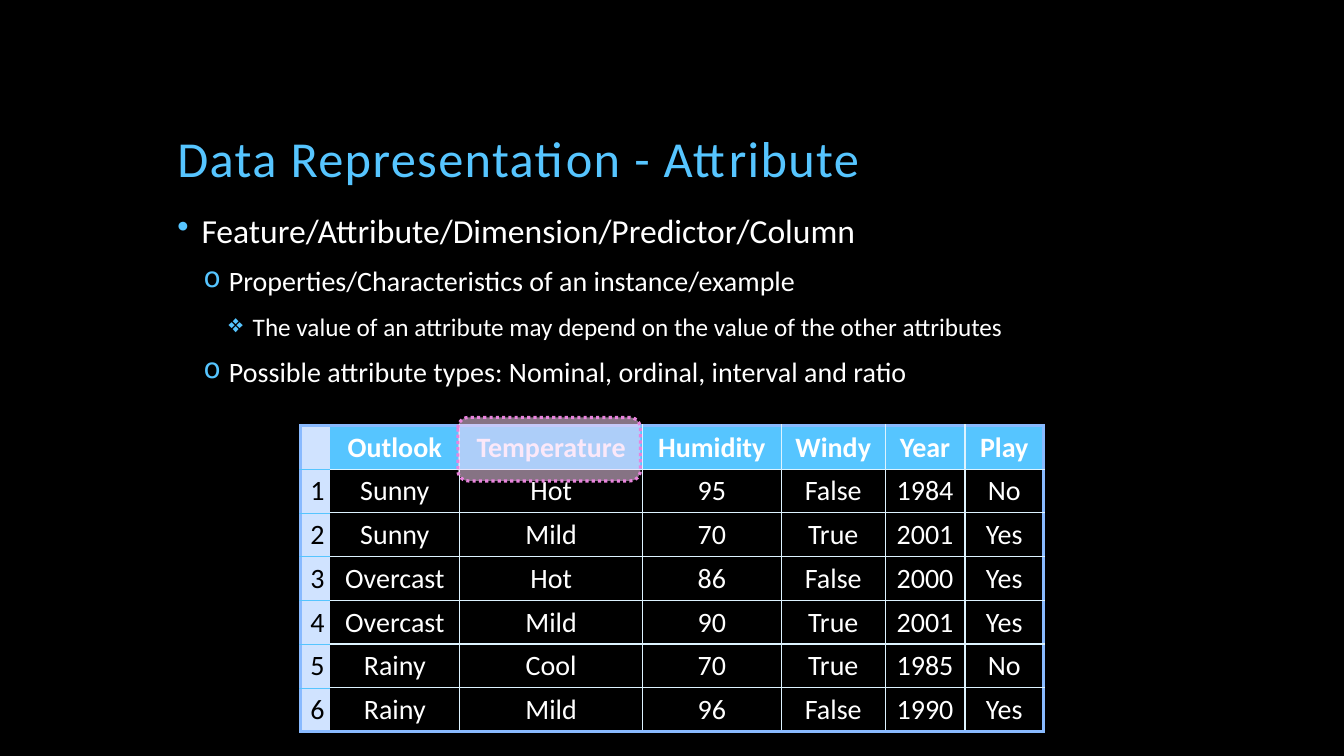
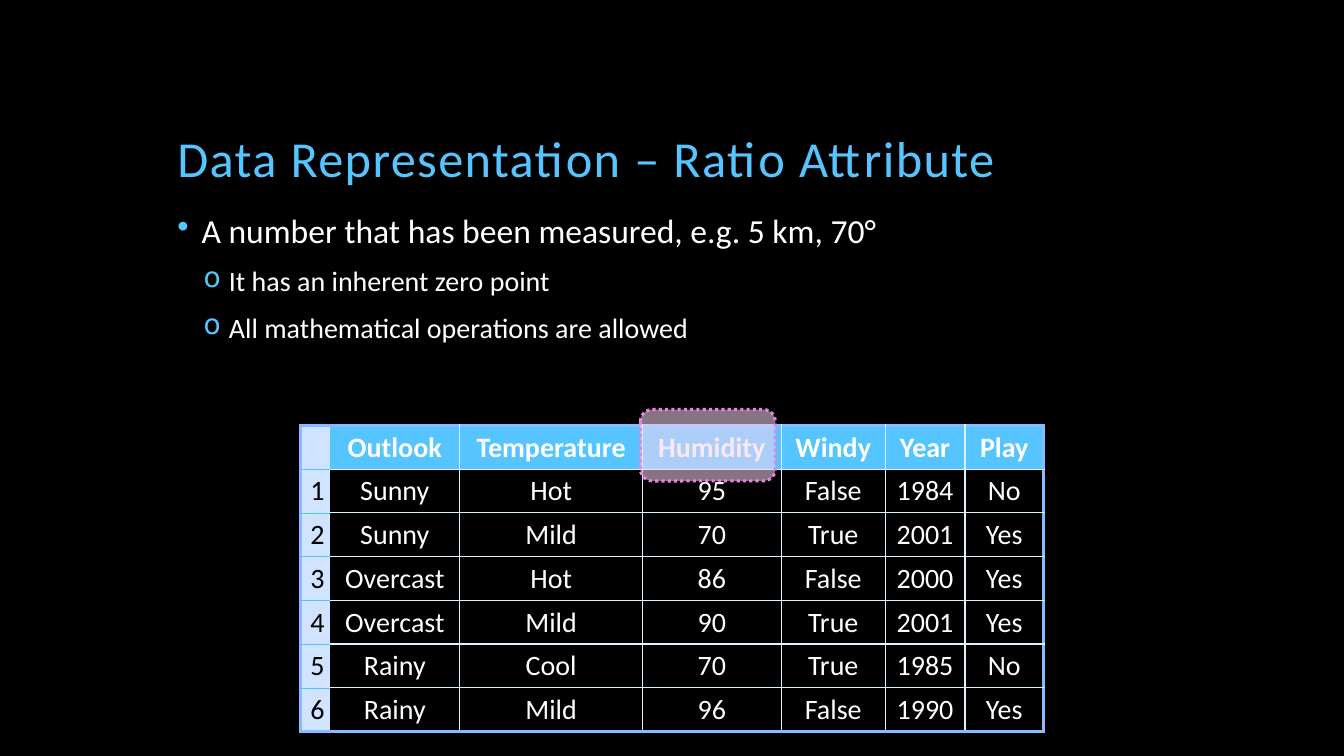
import lxml.etree
import pptx
import pptx.dml.color
import pptx.enum.dml
import pptx.enum.shapes
import pptx.enum.text
import pptx.oxml.ns
import pptx.util

Cm, Pt = pptx.util.Cm, pptx.util.Pt
qn = pptx.oxml.ns.qn

# Shared look
FONT = "Calibri"
BLACK, WHITE, ACCENT = "000000", "FFFFFF", "56C5FF"
ROW_HEAD, GRID, FRAME = "D0E3FF", "DDF3FF", "89BAFF"
PINK, PINK_LINE = "F8D6F4", "E983DD"

# Regions in cm: left, top, width, height
TITLE_BOX = (4.22, 1.07, 25.4, 3.81)
BODY_BOX = (4.22, 5.28, 25.37, 11.43)
TABLE_LEFT, TABLE_TOP, ROW_H = 7.57, 10.72, 1.1
COLS = (0.74, 3.28, 4.6, 3.5, 2.62, 2.01, 1.98)

# Outline levels: bullet, size in pt, indent and hang in cm
LEVELS = (("•", 24, 0.61, 0.61), ("o", 20, 1.3, 0.64), ("❖", 18, 1.9, 0.61))

WEATHER = (
    ("", "Outlook", "Temperature", "Humidity", "Windy", "Year", "Play"),
    ("1", "Sunny", "Hot", "95", "False", "1984", "No"),
    ("2", "Sunny", "Mild", "70", "True", "2001", "Yes"),
    ("3", "Overcast", "Hot", "86", "False", "2000", "Yes"),
    ("4", "Overcast", "Mild", "90", "True", "2001", "Yes"),
    ("5", "Rainy", "Cool", "70", "True", "1985", "No"),
    ("6", "Rainy", "Mild", "96", "False", "1990", "Yes"),
)


def rgb(hex_color):
    return pptx.dml.color.RGBColor.from_string(hex_color)


def add(parent, tag, **attrs):
    return lxml.etree.SubElement(parent, qn(tag), attrs)


def format_runs(p, size, color, bold=False):
    for r in p.runs:
        r.font.name, r.font.size, r.font.bold = FONT, Pt(size), bold
        r.font.color.rgb = rgb(color)


def add_text_box(slide, box):
    tf = slide.shapes.add_textbox(*map(Cm, box)).text_frame
    tf.word_wrap = True
    return tf


def add_title(slide, box, text):
    tf = add_text_box(slide, box)
    tf.vertical_anchor = pptx.enum.text.MSO_ANCHOR.BOTTOM
    tf.text = text
    p = tf.paragraphs[0]
    p.line_spacing = 0.9
    format_runs(p, 36, ACCENT)
    for r in p.runs:
        r.font._element.set("spc", "100")


def add_outline(slide, box, items):
    tf = add_text_box(slide, box)
    for i, (level, text) in enumerate(items):
        p = tf.add_paragraph() if i else tf.paragraphs[0]
        p.text, p.level = text, level
        char, size, indent, hang = LEVELS[level]
        pPr = p._p.get_or_add_pPr()
        pPr.set("marL", str(Cm(indent)))
        pPr.set("indent", str(-Cm(hang)))
        add(add(pPr, "a:buClr"), "a:srgbClr", val=ACCENT)
        add(pPr, "a:buChar", char=char)
        p.line_spacing = 0.9
        p.space_before = Pt(12 if i else 0)
        format_runs(p, size, WHITE)


def cell_borders(row, col):
    """Colour and width of each side; None means no line."""
    last_row, last_col = len(WEATHER) - 1, len(COLS) - 1
    frame, grid = (FRAME, 2.25), (GRID, 1)
    across = grid if col else (ACCENT, 0.5)
    return {
        "a:lnL": frame if col == 0 else None if col == 1 else grid,
        "a:lnR": frame if col == last_col else grid if col else None,
        "a:lnT": across if row else frame,
        "a:lnB": frame if row == last_row else across,
    }


def format_cell(cell, row, col):
    tcPr = cell._tc.get_or_add_tcPr()
    for tag, line in cell_borders(row, col).items():
        if line:
            ln = add(tcPr, tag, w=str(Pt(line[1])))
            add(add(ln, "a:solidFill"), "a:srgbClr", val=line[0])
        else:
            add(add(tcPr, tag, w="0"), "a:noFill")
    if row and col:
        cell.fill.background()
    else:
        cell.fill.solid()
        cell.fill.fore_color.rgb = rgb(ACCENT if col else ROW_HEAD)
    p = cell.text_frame.paragraphs[0]
    p.alignment = pptx.enum.text.PP_ALIGN.CENTER
    format_runs(p, 20, WHITE if col else BLACK, bold=row == 0)


def add_weather_table(slide, left, top):
    table = slide.shapes.add_table(
        len(WEATHER), len(COLS), Cm(left), Cm(top),
        Cm(sum(COLS)), Cm(ROW_H * len(WEATHER))).table
    table.first_row = table.horz_banding = False
    for column, width in zip(table.columns, COLS):
        column.width = Cm(width)
    for row, values in enumerate(WEATHER):
        table.rows[row].height = Cm(ROW_H)
        for col, value in enumerate(values):
            cell = table.cell(row, col)
            cell.text_frame.text = value
            format_cell(cell, row, col)


def add_highlight(slide, left, top, col, width, rise):
    """Tinted frame over a column heading, rising above the table."""
    s = slide.shapes.add_shape(
        pptx.enum.shapes.MSO_SHAPE.ROUNDED_RECTANGLE,
        Cm(left + sum(COLS[:col]) - 0.05), Cm(top - rise),
        Cm(width), Cm(rise + 1.4))
    s.shadow.inherit = False
    s.fill.solid()
    s.fill.fore_color.rgb = rgb(PINK)
    color = s._element.spPr.find(qn("a:solidFill")).find(qn("a:srgbClr"))
    add(color, "a:alpha", val="54000")
    s.line.color.rgb = rgb(PINK_LINE)
    s.line.width = Pt(2.25)
    s.line.dash_style = pptx.enum.dml.MSO_LINE.ROUND_DOT


def add_attribute_slide(prs, title, items, **highlight):
    slide = prs.slides.add_slide(prs.slide_layouts[6])
    slide.background.fill.solid()
    slide.background.fill.fore_color.rgb = rgb(BLACK)
    add_title(slide, TITLE_BOX, title)
    add_outline(slide, BODY_BOX, items)
    add_weather_table(slide, TABLE_LEFT, TABLE_TOP)
    add_highlight(slide, TABLE_LEFT, TABLE_TOP, **highlight)


def main():
    prs = pptx.Presentation()
    prs.slide_width, prs.slide_height = Cm(33.87), Cm(19.05)
    add_attribute_slide(prs, "Data Representation - Attribute", (
        (0, "Feature/Attribute/Dimension/Predictor/Column"),
        (1, "Properties/Characteristics of an instance/example"),
        (2, "The value of an attribute may depend on the value of the other attributes"),
        (1, "Possible attribute types: Nominal, ordinal, interval and ratio"),
    ), col=2, width=4.6, rise=0.2)
    add_attribute_slide(prs, "Data Representation – Ratio Attribute", (
        (0, "A number that has been measured, e.g. 5 km, 70°"),
        (1, "It has an inherent zero point"),
        (1, "All mathematical operations are allowed"),
    ), col=3, width=3.4, rise=0.4)
    prs.save("out.pptx")


if __name__ == "__main__":
    main()
